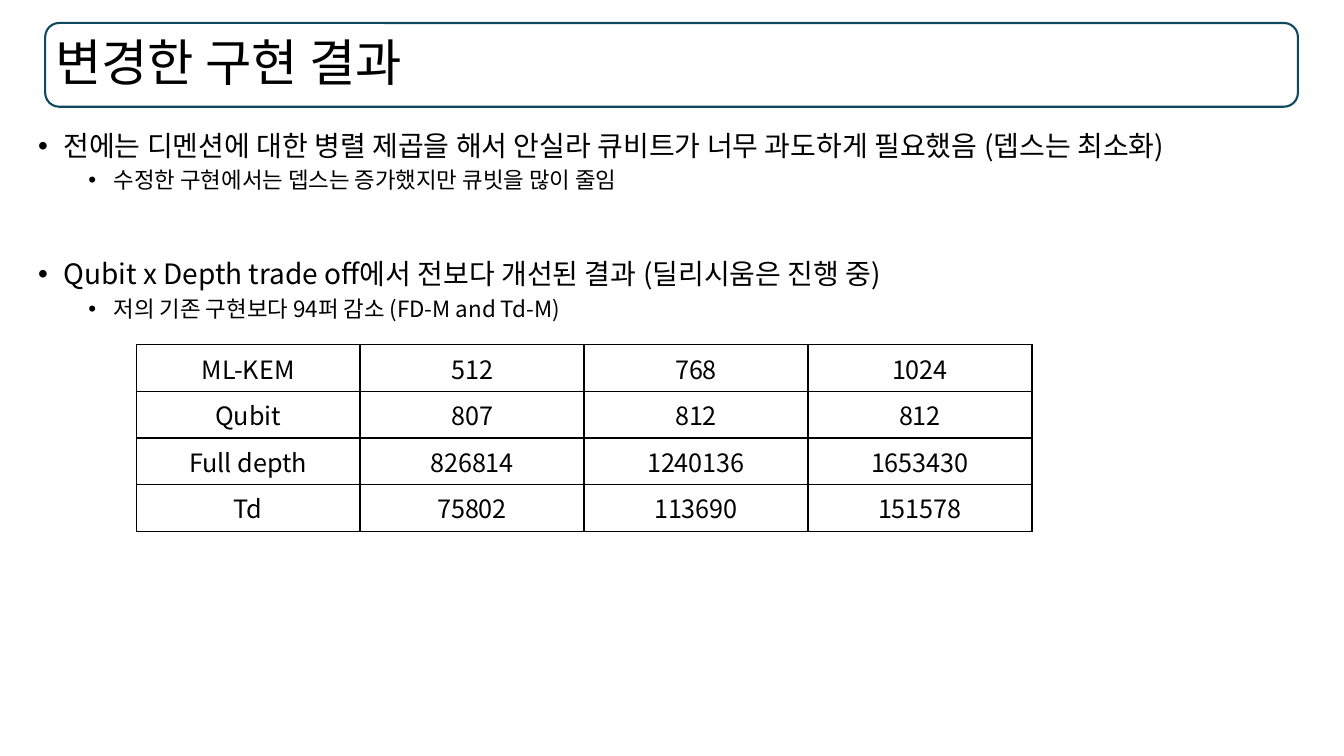
from pptx import Presentation
from pptx.dml.color import RGBColor as RGB
from pptx.enum.shapes import MSO_SHAPE as SHAPE
from pptx.enum.text import MSO_ANCHOR as ANCHOR, MSO_AUTO_SIZE as FIT, PP_ALIGN as ALIGN
from pptx.oxml.ns import qn
from pptx.util import Cm, Pt
from lxml.etree import SubElement as Sub

FONT = "Noto Sans CJK KR"
COLORS = {"text": "000000", "frame": "104862", "grid": "000000"}


def write(para, text, size=18, align=None, line=None, before=0, bullet=None):
    """Fill a paragraph; bullet is its left indent in cm."""
    if bullet is not None:
        props = para._p.get_or_add_pPr()
        props.set("marL", str(Cm(bullet)))
        props.set("indent", str(-Cm(0.64)))
        Sub(props, qn("a:buFont")).set("typeface", "Arial")
        Sub(props, qn("a:buChar")).set("char", "•")
    if align is not None:
        para.alignment = align
    if line:
        para.line_spacing = line
    if before:
        para.space_before = Pt(before)
    run = para.add_run()
    run.text = text
    run.font.size = Pt(size)
    run.font.name = FONT
    run.font.color.rgb = RGB.from_string(COLORS["text"])
    Sub(run._r.get_or_add_rPr(), qn("a:ea")).set("typeface", FONT)


class Deck:
    def __init__(self):
        self.prs = Presentation()
        self.prs.slide_width, self.prs.slide_height = Cm(33.87), Cm(19.05)
        self.slide = self.prs.slides.add_slide(self.prs.slide_layouts[6])

    def frame(self, *box):
        shape = self.slide.shapes.add_shape(SHAPE.ROUNDED_RECTANGLE, *map(Cm, box))
        shape.shadow.inherit = False
        shape.fill.background()
        shape.line.color.rgb = RGB.from_string(COLORS["frame"])
        shape.line.width = Pt(1.5)

    def text(self, box, items, anchor=ANCHOR.TOP):
        body = self.slide.shapes.add_textbox(*map(Cm, box)).text_frame
        body.word_wrap = True
        body.auto_size = FIT.TEXT_TO_FIT_SHAPE
        body.vertical_anchor = anchor
        for i, (text, style) in enumerate(items):
            para = body.add_paragraph() if i else body.paragraphs[0]
            write(para, text, line=0.9, **style)

    def table(self, box, rows):
        shape = self.slide.shapes.add_table(len(rows), len(rows[0]), *map(Cm, box))
        table = shape.table
        table.first_row = table.horz_banding = False
        for r, row in enumerate(rows):
            for c, value in enumerate(row):
                cell = table.cell(r, c)
                write(cell.text_frame.paragraphs[0], value, align=ALIGN.CENTER)
                self.border(cell)
                cell.fill.background()

    def border(self, cell):
        props = cell._tc.get_or_add_tcPr()
        for side in ("lnL", "lnR", "lnT", "lnB"):
            edge = Sub(props, qn("a:" + side), w=str(Pt(1)))
            fill = Sub(edge, qn("a:solidFill"))
            Sub(fill, qn("a:srgbClr")).set("val", COLORS["grid"])


def main():
    deck = Deck()

    # Title
    head = (1.14, 0.58, 31.57, 2.11)
    deck.frame(*head)
    deck.text(head, [("변경한 구현 결과", {"size": 36})], ANCHOR.MIDDLE)

    # Findings
    main_point = {"size": 20, "bullet": 0.64}
    sub_point = {"size": 16, "bullet": 1.91, "before": 5}
    deck.text((0.71, 3.2, 32.66, 14.05), [
        ("전에는 디멘션에 대한 병렬 제곱을 해서 안실라 큐비트가 너무 과도하게 필요했음 (뎁스는 최소화)", main_point),
        ("수정한 구현에서는 뎁스는 증가했지만 큐빗을 많이 줄임", sub_point),
        ("Qubit x Depth trade off에서 전보다 개선된 결과 (딜리시움은 진행 중)", {**main_point, "before": 48}),
        ("저의 기존 구현보다 94퍼 감소 (FD-M and Td-M)", sub_point),
    ])

    # Results
    deck.table((3.43, 8.69, 22.58, 4.12), [
        ("ML-KEM", "512", "768", "1024"),
        ("Qubit", "807", "812", "812"),
        ("Full depth", "826814", "1240136", "1653430"),
        ("Td", "75802", "113690", "151578"),
    ])

    deck.prs.save("out.pptx")


if __name__ == "__main__":
    main()
